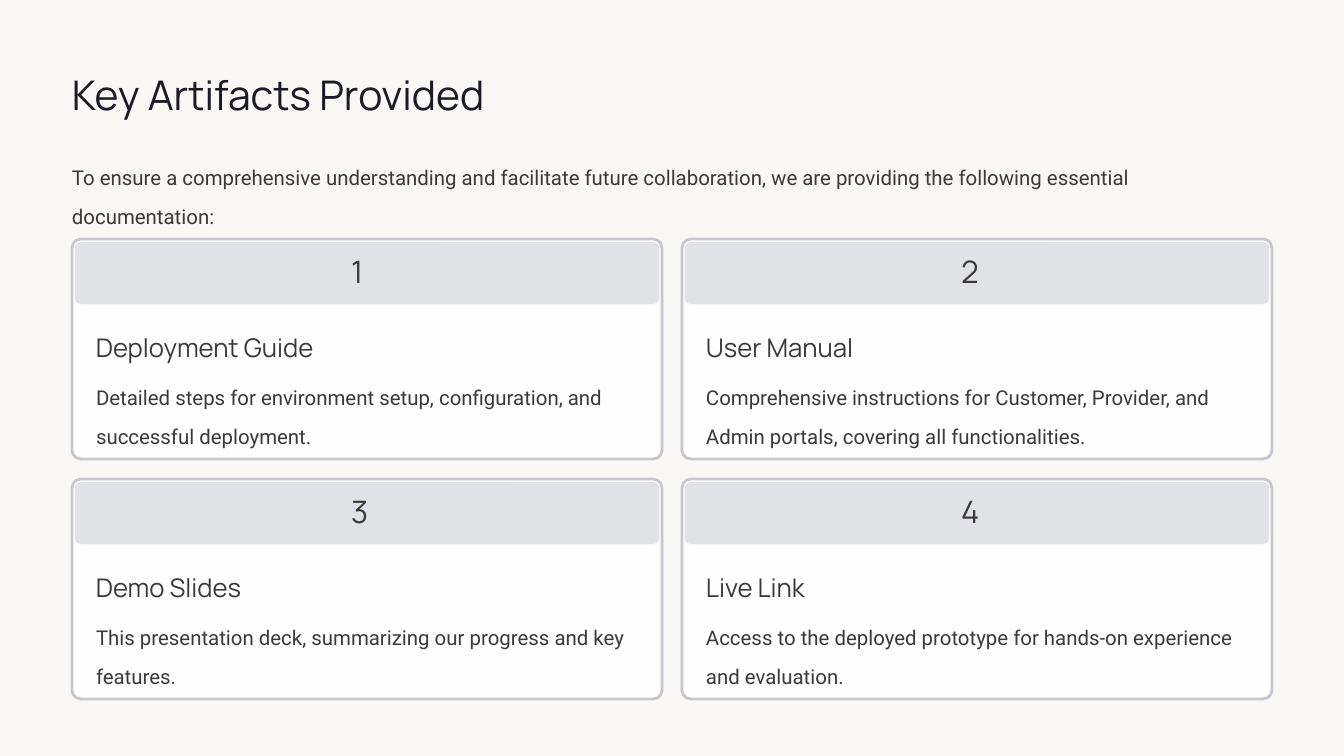
from lxml.etree import SubElement
from pptx import Presentation
from pptx.dml.color import RGBColor
from pptx.enum.shapes import MSO_SHAPE
from pptx.enum.text import MSO_ANCHOR, MSO_AUTO_SIZE, PP_ALIGN
from pptx.oxml.ns import qn
from pptx.util import Pt

TITLE = "Key Artifacts Provided"
INTRO = (
    "To ensure a comprehensive understanding and facilitate future collaboration, "
    "we are providing the following essential documentation:"
)
ARTIFACTS = [
    ("Deployment Guide",
     "Detailed steps for environment setup, configuration, and successful deployment."),
    ("User Manual",
     "Comprehensive instructions for Customer, Provider, and Admin portals, "
     "covering all functionalities."),
    ("Demo Slides",
     "This presentation deck, summarizing our progress and key features."),
    ("Live Link",
     "Access to the deployed prototype for hands-on experience and evaluation."),
]

COLORS = {
    "page": "F9F8F5",
    "title": "1B1B27",
    "text": "3C3939",
    "card": "FFFFFF",
    "border": "C7C7D0",
    "band": "E1E1EA",
}
# font, points, line spacing, color
STYLES = {
    "title": ("Manrope", 35, 1.26, "title"),
    "number": ("Manrope", 26.5, 1.0, "text"),
    "heading": ("Manrope", 22, 1.25, "text"),
    "body": ("Roboto", 17.5, 1.6, "text"),
}

# Lengths in px
PX = 914400 / 84
PAGE_WIDTH, PAGE_HEIGHT = 1344, 756
MARGIN = 72
CARDS_TOP = 239
CARD_WIDTH, CARD_HEIGHT = 590, 220
GAP = 20
COLUMNS = 2
BORDER = 3
PADDING = 24


def emu(*lengths):
    return [round(length * PX) for length in lengths]


def color(name):
    return RGBColor.from_string(COLORS[name])


def write(box, text, style):
    font_name, size, spacing, color_name = STYLES[style]
    frame = box.text_frame
    frame.margin_left = frame.margin_top = frame.margin_right = frame.margin_bottom = 0
    frame.word_wrap = True
    frame.auto_size = MSO_AUTO_SIZE.NONE
    frame.vertical_anchor = MSO_ANCHOR.TOP
    para = frame.paragraphs[0]
    para.text = text
    para.alignment = PP_ALIGN.LEFT
    para.line_spacing = spacing
    para.font.name = font_name
    para.font.size = Pt(size)
    para.font.color.rgb = color(color_name)


def add_text(page, bounds, text, style):
    write(page.shapes.add_textbox(*emu(*bounds)), text, style)


def add_rounded(page, bounds, fill, rounding):
    shape = page.shapes.add_shape(MSO_SHAPE.ROUNDED_RECTANGLE, *emu(*bounds))
    shape.adjustments[0] = rounding
    shape.shadow.inherit = False
    shape.fill.solid()
    shape.fill.fore_color.rgb = color(fill)
    shape.line.fill.background()
    return shape


def add_card(page, index, heading, body):
    row, column = divmod(index, COLUMNS)
    left = MARGIN + column * (CARD_WIDTH + GAP)
    top = CARDS_TOP + row * (CARD_HEIGHT + GAP)

    card = add_rounded(page, (left, top, CARD_WIDTH, CARD_HEIGHT), "card", 0.04)
    card.line.color.rgb = color("border")
    card.line.width = Pt(2.4)
    fill_color = card.fill._xPr.find(qn("a:solidFill"))[0]
    SubElement(fill_color, qn("a:alpha")).set("val", "95000")

    band = (left + BORDER, top + BORDER, CARD_WIDTH - 2 * BORDER, 62)
    add_rounded(page, band, "band", 0.09)
    add_text(page, (left + 279, top + 14, 31, 39), str(index + 1), "number")
    add_text(page, (left + PADDING, top + 85, 259, 32), heading, "heading")
    body_width = CARD_WIDTH - 2 * PADDING
    add_text(page, (left + PADDING, top + 131, body_width, 66), body, "body")


def main():
    deck = Presentation()
    deck.slide_width, deck.slide_height = emu(PAGE_WIDTH, PAGE_HEIGHT)
    page = deck.slides.add_slide(deck.slide_layouts.get_by_name("Title Only"))
    page.background.fill.solid()
    page.background.fill.fore_color.rgb = color("page")

    title = page.shapes.title
    title.left, title.top, title.width, title.height = emu(MARGIN, 57, 496, 66)
    write(title, TITLE, "title")
    add_text(page, (MARGIN, 150, PAGE_WIDTH - 2 * MARGIN, 66), INTRO, "body")
    for index, (heading, body) in enumerate(ARTIFACTS):
        add_card(page, index, heading, body)

    deck.save("out.pptx")


if __name__ == "__main__":
    main()
